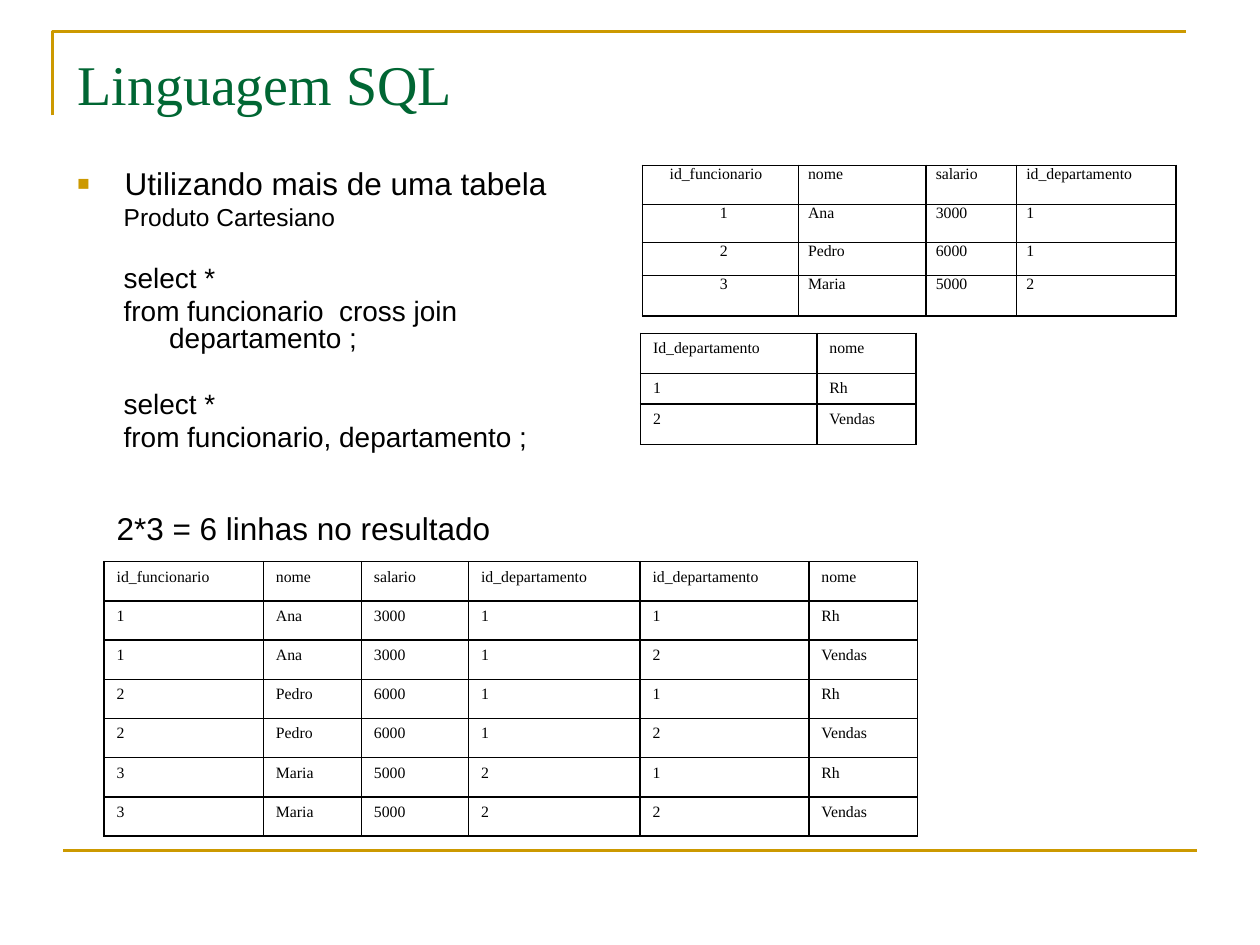
from itertools import product

from lxml import etree
from pptx import Presentation
from pptx.dml.color import RGBColor
from pptx.enum.shapes import MSO_CONNECTOR
from pptx.enum.text import MSO_ANCHOR, MSO_AUTO_SIZE, PP_ALIGN
from pptx.oxml.ns import qn
from pptx.util import Pt

STRAIGHT = MSO_CONNECTOR.STRAIGHT
TOP, MIDDLE = MSO_ANCHOR.TOP, MSO_ANCHOR.MIDDLE
LEFT, CENTER = PP_ALIGN.LEFT, PP_ALIGN.CENTER
NO_FIT = MSO_AUTO_SIZE.NONE
COLORS = {"gold": "CC9900", "title": "006633", "text": "000000"}
SERIF, SANS = "Times New Roman", "Arial"

EMPLOYEES = [
    ("id_funcionario", "nome", "salario", "id_departamento"),
    ("1", "Ana", "3000", "1"),
    ("2", "Pedro", "6000", "1"),
    ("3", "Maria", "5000", "2"),
]
DEPARTMENTS = [("Id_departamento", "nome"), ("1", "Rh"), ("2", "Vendas")]
RESULT = [EMPLOYEES[0] + ("id_departamento", "nome")] + [
    employee + department
    for employee, department in product(EMPLOYEES[1:], DEPARTMENTS[1:])
]
BODY_LINES = [
    ("Utilizando mais de uma tabela", 18, 2),
    ("Produto Cartesiano", 14, 3.5),
    ("select *", 16, 20),
    ("from funcionario  cross join departamento ;", 16, 3.7),
    ("select *", 16, 22.3),
    ("from funcionario, departamento ;", 16, 3.7),
]


def rgb(key):
    """Return the named colour."""
    return RGBColor.from_string(COLORS[key])


def style(paragraph, font, size, color="text"):
    """Format every run of a paragraph."""
    for run in paragraph.runs:
        run.font.name = font
        run.font.size = Pt(size)
        run.font.color.rgb = rgb(color)


def place(item, box):
    """Move a shape to a box given in points."""
    item.left, item.top, item.width, item.height = map(Pt, box)


def add_frame(slide, box):
    """Draw the gold corner at the top and the rule at the bottom."""
    left, top, width, height = box
    builder = slide.shapes.build_freeform(Pt(left), Pt(top + 48))
    builder.add_line_segments(
        [(Pt(left), Pt(top)), (Pt(left + width), Pt(top))], close=False
    )
    corner = builder.convert_to_shape()
    corner.fill.background()
    corner.shadow.inherit = False
    rule_left, rule_top = left + 6, top + height
    rule = slide.shapes.add_connector(
        STRAIGHT, Pt(rule_left), Pt(rule_top), Pt(rule_left + width), Pt(rule_top)
    )
    for edge in (corner, rule):
        edge.line.color.rgb = rgb("gold")
        edge.line.width = Pt(1.5)
    etree.SubElement(rule._element.spPr, qn("a:effectLst"))


def add_title(slide, box):
    """Fill the title placeholder."""
    title = slide.shapes.title
    place(title, box)
    frame = title.text_frame
    frame.text = "Linguagem SQL"
    frame.auto_size = NO_FIT
    frame.vertical_anchor = MIDDLE
    frame.paragraphs[0].alignment = LEFT
    style(frame.paragraphs[0], SERIF, 32, "title")


def set_indent(paragraph, margin, indent, bullet):
    """Set the hanging indent and the bullet, or none."""
    props = paragraph._p.get_or_add_pPr()
    props.set("marL", str(Pt(margin)))
    props.set("indent", str(Pt(indent)))
    if not bullet:
        etree.SubElement(props, qn("a:buNone"))
        return
    color = etree.SubElement(props, qn("a:buClr"))
    etree.SubElement(color, qn("a:srgbClr"), val=COLORS["gold"])
    etree.SubElement(props, qn("a:buSzPct"), val="65000")
    etree.SubElement(props, qn("a:buFont"), typeface=SANS)
    etree.SubElement(props, qn("a:buChar"), char=bullet)


def add_body(slide, box):
    """Fill the body placeholder with the topic and its queries."""
    body = slide.placeholders[1]
    place(body, box)
    frame = body.text_frame
    frame.text = "\n".join(text for text, _, _ in BODY_LINES)
    frame.auto_size = NO_FIT
    frame.vertical_anchor = TOP
    for index, (_, size, before) in enumerate(BODY_LINES):
        line = frame.paragraphs[index]
        line.line_spacing = 0.8
        line.space_before = Pt(before)
        style(line, SANS, size)
        if index == 0:
            set_indent(line, 27, -27, "■")
        else:
            line.level = 1
            set_indent(line, 52.5, -26, None)


def add_borders(cell):
    """Draw a black line on each side of a cell."""
    props = cell._tc.get_or_add_tcPr()
    for side in ("lnL", "lnR", "lnT", "lnB"):
        border = etree.SubElement(props, qn(f"a:{side}"), w=str(Pt(1)))
        fill = etree.SubElement(border, qn("a:solidFill"))
        etree.SubElement(fill, qn("a:srgbClr"), val=COLORS["text"])


def add_grid(slide, origin, records, widths, heights, insets=(7.2, 3.6, 7.2, 3.6)):
    """Add a plain bordered table and return it."""
    box = (*origin, sum(widths), sum(heights))
    grid = slide.shapes.add_table(len(records), len(widths), *map(Pt, box)).table
    grid.first_row = grid.horz_banding = False
    for column, width in zip(grid.columns, widths):
        column.width = Pt(width)
    for row, height, record in zip(grid.rows, heights, records):
        row.height = Pt(height)
        for cell, value in zip(row.cells, record):
            cell.text = value
            cell.margin_left, cell.margin_top, cell.margin_right, cell.margin_bottom = map(
                Pt, insets
            )
            add_borders(cell)
            cell.fill.background()
            style(cell.text_frame.paragraphs[0], SERIF, 9)
    return grid


def add_employees(slide, origin):
    """Add the employee table with its centred key column."""
    grid = add_grid(slide, origin, EMPLOYEES, [89.25, 73, 51.75, 91],
                    [22.5, 21.5, 19, 23], (5.5, 0, 1.5, 0))
    for row in grid.rows:
        row.cells[0].text_frame.paragraphs[0].alignment = CENTER
    grid.cell(0, 0).margin_right = Pt(10.5)


def add_result(slide, origin):
    """Add the row count and the cross join below it."""
    left, top = origin
    caption = slide.shapes.add_textbox(Pt(left), Pt(top), Pt(228), Pt(29))
    caption.text_frame.word_wrap = False
    caption.text_frame.text = "2*3 = 6 linhas no resultado"
    style(caption.text_frame.paragraphs[0], SANS, 18)
    add_grid(slide, (left, top + 33.5), RESULT, [91, 56, 61.25, 98, 96.5, 62],
             [22.4] * len(RESULT))


def main():
    """Build the slide and save it."""
    deck = Presentation()
    deck.slide_width, deck.slide_height = Pt(720), Pt(540)
    slide = deck.slides.add_slide(deck.slide_layouts[1])
    add_frame(slide, (30, 18, 648, 468))
    add_title(slide, (37, 20, 648, 55.5))
    add_body(slide, (37, 94.5, 312, 193))
    add_employees(slide, (367, 94.5))
    add_grid(slide, (366, 190.5), DEPARTMENTS, [100.75, 56.75], [23, 17.5, 23])
    add_result(slide, (59.5, 287.5))
    deck.save("out.pptx")


if __name__ == "__main__":
    main()
